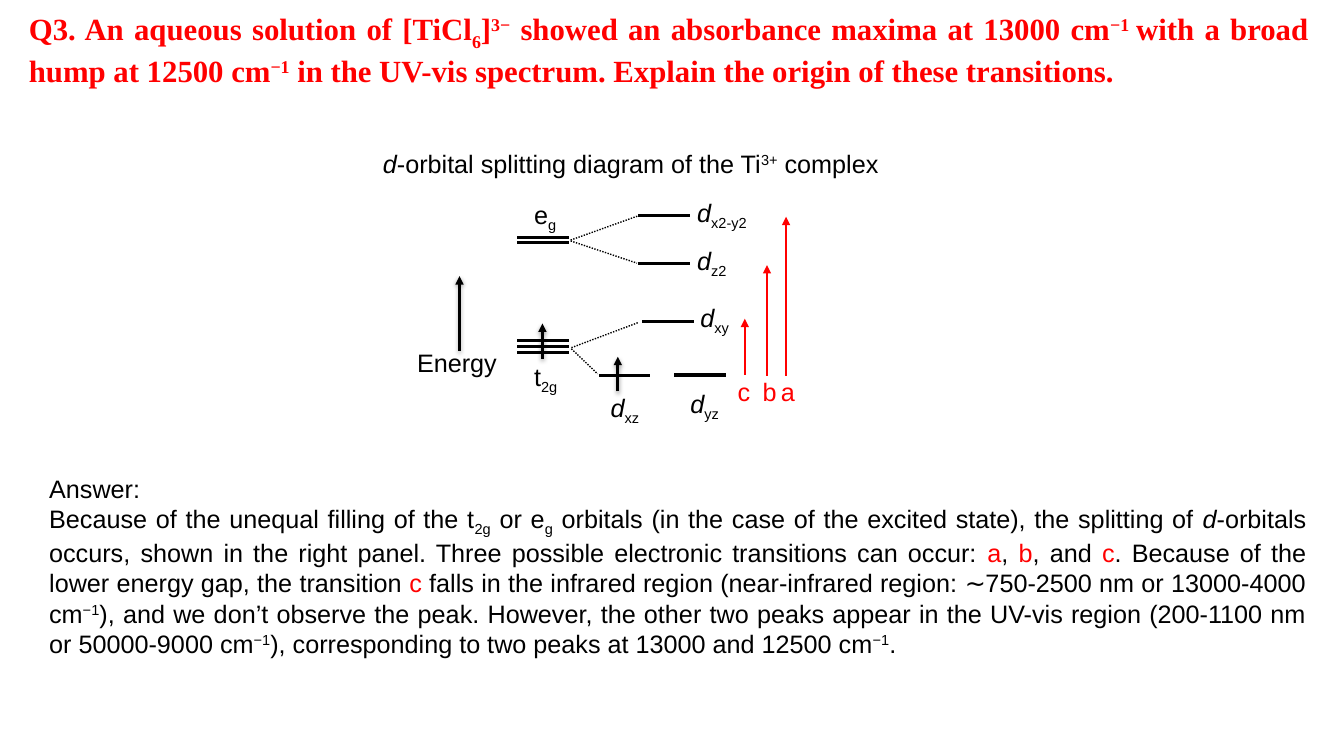
from lxml import etree
from pptx import Presentation
from pptx import util as u
from pptx.dml.color import RGBColor
from pptx.enum import dml, shapes, text
from pptx.oxml import parse_xml
from pptx.oxml.ns import nsdecls, qn

BLACK = RGBColor(0, 0, 0)
RED = RGBColor(255, 0, 0)

BODY = {"name": "Arial", "size": u.Pt(18)}
QUESTION = {"name": "Times New Roman", "size": u.Pt(22), "bold": True}

# Span styles: format values, colour and baseline shift in thousandths of a percent
ITALIC = {"italic": True}
MARKED = {"color": RED}
SUB = {"baseline": -25000}
SUP = {"baseline": 30000}

LEVEL_WIDTH = 1.3
LABEL_HEIGHT = 1.02

TITLE = [[
    "Q3. An aqueous solution of [TiCl", ("6", SUB), "]", ("3−", SUP),
    " showed an absorbance maxima at 13000 cm", ("−1 ", SUP),
    "with a broad hump at 12500 cm", ("−1", SUP),
    " in the UV-vis spectrum. Explain the origin of these transitions. ",
]]
CAPTION = [[
    ("d", ITALIC), "-orbital splitting diagram of the Ti", ("3+", SUP), " complex",
]]
ANSWER = [
    ["Answer: "],
    [
        "Because of the unequal filling of the t", ("2g", SUB), " or e", ("g", SUB),
        " orbitals (in the case of the excited state), the splitting of ",
        ("d", ITALIC),
        "-orbitals occurs, shown in the right panel. "
        "Three possible electronic transitions can occur: ",
        ("a", MARKED), ", ", ("b", MARKED), ", and ", ("c", MARKED),
        ". Because of the lower energy gap, the transition ", ("c", MARKED),
        " falls in the infrared region (near-infrared region: "
        "∼750-2500 nm or 13000-4000 cm", ("−1", SUP),
        "), and we don’t observe the peak. However, the other two peaks appear "
        "in the UV-vis region (200-1100 nm or 50000-9000 cm", ("−1", SUP),
        "), corresponding to two peaks at 13000 and 12500 cm", ("−1", SUP), ".",
    ],
]

# Left end and height of each level line
LEVELS = [
    (13.03, 5.99), (13.03, 6.12),
    (13.03, 8.59), (13.03, 8.74), (13.03, 8.89),
    (16.08, 5.44), (16.08, 6.63), (16.18, 8.1), (15.09, 9.47), (16.99, 9.45),
]
SPLITTINGS = [
    (14.38, 6.05, 16.08, 5.44), (14.38, 6.07, 16.05, 6.63),
    (14.4, 8.76, 16.08, 8.13), (14.4, 8.79, 15.06, 9.42),
]
# Orbital suffix, left, top, width
ORBITALS = [
    ("x2-y2", 17.32, 4.85, 1.9), ("z2", 17.32, 6.05, 1.32),
    ("xy", 17.4, 7.49, 1.3), ("yz", 17.15, 9.65, 1.3), ("xz", 15.14, 9.75, 1.3),
]
# x, foot, tip, line width of the black arrows: energy axis, then electrons
BLACK_ARROWS = [
    (11.58, 8.84, 6.96, 1.5), (15.57, 9.86, 8.99, 2), (13.67, 9.04, 8.15, 2),
]
# Letter, label left, arrow x, foot, tip
TRANSITIONS = [
    ("a", 19.43, 19.81, 9.47, 5.46),
    ("b", 18.97, 19.33, 9.47, 6.68),
    ("c", 18.34, 18.77, 9.45, 8.03),
]


def add_span(para, content, base, color):
    words, style = (content, {}) if isinstance(content, str) else content
    values = {**base, **style}
    span = para.add_run()
    span.text = words
    span.font.color.rgb = values.pop("color", color)
    baseline = values.pop("baseline", None)
    for name, value in values.items():
        setattr(span.font, name, value)
    if baseline:
        span._r.get_or_add_rPr().set("baseline", str(baseline))


def add_text(owner, bounds, paragraphs, base=BODY, color=BLACK, block=False):
    """Add a text box; a block wraps and is justified, a label does neither."""
    box = owner.add_textbox(*(u.Cm(value) for value in bounds))
    frame = box.text_frame
    frame.word_wrap = block
    frame.auto_size = text.MSO_AUTO_SIZE.SHAPE_TO_FIT_TEXT
    for index, spans in enumerate(paragraphs):
        para = frame.add_paragraph() if index else frame.paragraphs[0]
        para.alignment = text.PP_ALIGN.JUSTIFY if block else text.PP_ALIGN.LEFT
        for content in spans:
            add_span(para, content, base, color)


def add_line(owner, ends, width, color=BLACK, dash=None, arrow=False, shadow=False):
    line = owner.add_connector(
        shapes.MSO_CONNECTOR.STRAIGHT, *(u.Cm(value) for value in ends))
    line.line.color.rgb = color
    line.line.width = u.Pt(width)
    if dash:
        line.line.dash_style = dash
    properties = line._element.spPr
    if arrow:
        outline = properties.find(qn("a:ln"))
        etree.SubElement(outline, qn("a:tailEnd"), type="triangle")
    effects = etree.SubElement(properties, qn("a:effectLst"))
    if shadow:
        effects.append(parse_xml(
            f'<a:outerShdw {nsdecls("a")} blurRad="40000" dist="20000" '
            'dir="5400000" rotWithShape="0"><a:srgbClr val="000000">'
            '<a:alpha val="38000"/></a:srgbClr></a:outerShdw>'))


def add_diagram(page):
    diagram = page.shapes.add_group_shape().shapes
    for left, y in LEVELS:
        add_line(diagram, (left, y, left + LEVEL_WIDTH, y), 2.25)
    for ends in SPLITTINGS:
        add_line(diagram, ends, 1, dash=dml.MSO_LINE.ROUND_DOT)
    for x, foot, tip, width in BLACK_ARROWS:
        add_line(diagram, (x, foot, x, tip), width, arrow=True, shadow=True)

    for suffix, left, top, width in ORBITALS:
        add_text(diagram, (left, top, width, LABEL_HEIGHT),
                 [[("d", ITALIC), (suffix, SUB)]])
    add_text(diagram, (10.26, 8.64, 2.54, LABEL_HEIGHT), [["Energy"]])
    add_text(diagram, (13.21, 8.97, 1.17, LABEL_HEIGHT), [["t", ("2g", SUB)]])
    add_text(diagram, (13.21, 4.9, 1.12, LABEL_HEIGHT), [["e", ("g", SUB)]])

    for letter, left, x, foot, tip in TRANSITIONS:
        add_line(diagram, (x, foot, x, tip), 1.5, RED, arrow=True)
        add_text(diagram, (left, 9.35, 0.86, LABEL_HEIGHT), [[letter]], color=RED)


def main():
    deck = Presentation()
    deck.slide_width, deck.slide_height = u.Cm(33.87), u.Cm(19.05)
    page = deck.slides.add_slide(deck.slide_layouts[6])
    add_text(page.shapes, (0.48, 0.13, 32.74, 2.13), TITLE, QUESTION, RED, block=True)
    add_text(page.shapes, (0.99, 11.79, 32.18, 4.88), ANSWER, block=True)
    add_text(page.shapes, (9.4, 3.61, 13.34, LABEL_HEIGHT), CAPTION, block=True)
    add_diagram(page)
    deck.save("out.pptx")


if __name__ == "__main__":
    main()
